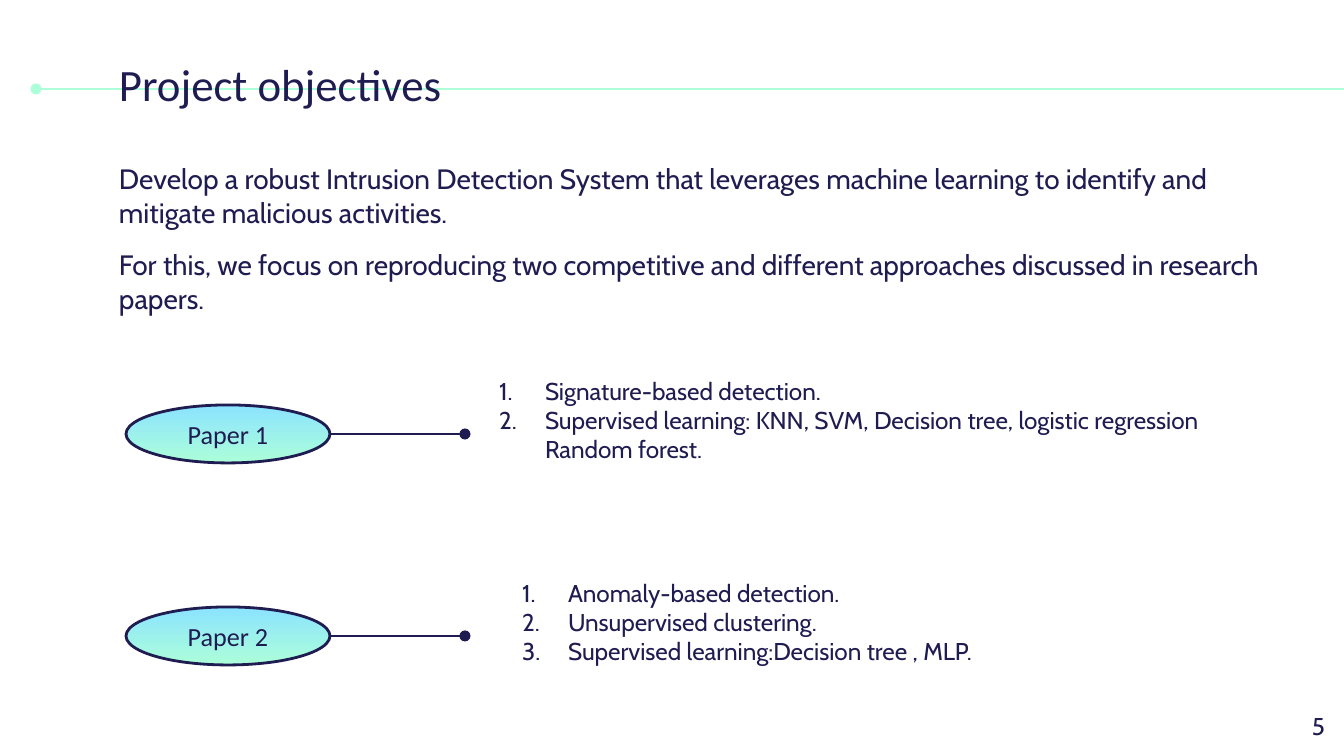
from lxml.etree import SubElement
from pptx import Presentation
from pptx.dml.color import RGBColor
from pptx.enum.shapes import MSO_CONNECTOR, MSO_SHAPE
from pptx.enum.text import MSO_ANCHOR, PP_ALIGN
from pptx.oxml.ns import qn
from pptx.util import Pt

PX = 914400 / 134.4
NAVY = RGBColor(0x1F, 0x1C, 0x51)
MINT = RGBColor(0xAC, 0xFF, 0xD9)
SKY = RGBColor(0x8B, 0xE3, 0xFF)


def px(*lengths):
    return [round(n * PX) for n in lengths]


def write(s, lines, font, size, align=PP_ALIGN.LEFT, anchor=MSO_ANCHOR.TOP, gap=0, numbered=False):
    tf = s.text_frame
    tf.word_wrap = True
    tf.vertical_anchor = anchor
    tf.margin_left, tf.margin_top, tf.margin_right, tf.margin_bottom = px(13, 13, 13, 13)
    tf.text = "\n".join(lines)
    for i, p in enumerate(tf.paragraphs):
        p.alignment = align
        if i and gap:
            p.space_before = Pt(gap)
        if numbered:
            pPr = p._p.get_or_add_pPr()
            margin, indent = px(67, -46)
            pPr.set("marL", str(margin))
            pPr.set("indent", str(indent))
            SubElement(pPr, qn("a:buAutoNum"), type="arabicPeriod")
        for r in p.runs:
            r.font.name = font
            r.font.size = Pt(size)
            r.font.color.rgb = NAVY


prs = Presentation()
prs.slide_width, prs.slide_height = px(1344, 756)
slide = prs.slides.add_slide(prs.slide_layouts[6])
shapes = slide.shapes

for x1, x2, y, color, width, end in [
    (36, 1344, 89, MINT, 1.5, "headEnd"),
    (330, 465, 434, NAVY, 0.75, "tailEnd"),
    (330, 465, 636, NAVY, 0.75, "tailEnd"),
]:
    s = shapes.add_connector(MSO_CONNECTOR.STRAIGHT, *px(x1, y, x2, y))
    s.line.color.rgb = color
    s.line.width = Pt(width)
    SubElement(s.line._get_or_add_ln(), qn(f"a:{end}"), type="oval")
    SubElement(s._element.spPr, qn("a:effectLst"))

title = shapes.add_textbox(*px(106, 44, 894, 79))
write(title, ["Project objectives"], "Calibri", 24)

intro = shapes.add_textbox(*px(106, 149, 1175, 180))
write(intro, [
    "Develop a robust Intrusion Detection System that leverages machine learning to identify and mitigate malicious activities.",
    "For this, we focus on reproducing two competitive and different approaches discussed in research papers.",
], "Cabin", 15, gap=10)

papers = [
    ("Paper 1", 405, 465, 364, [
        "Signature-based detection.",
        "Supervised learning: KNN, SVM, Decision tree, logistic regression Random forest.",
    ]),
    ("Paper 2", 607, 488, 566, [
        "Anomaly-based detection.",
        "Unsupervised clustering.",
        "Supervised learning:Decision tree , MLP.",
    ]),
]
for name, top, list_left, list_top, points in papers:
    s = shapes.add_shape(MSO_SHAPE.OVAL, *px(126, top, 204, 58))
    s.shadow.inherit = False
    s.fill.gradient()
    s.fill.gradient_angle = 270
    for stop, color, position in zip(s.fill.gradient_stops, (SKY, MINT), (0, 1)):
        stop.color.rgb = color
        stop.position = position
    s.line.color.rgb = NAVY
    s.line.width = Pt(1.5)
    write(s, [name], "Calibri", 14, PP_ALIGN.CENTER, MSO_ANCHOR.MIDDLE)

    s = shapes.add_textbox(*px(list_left, list_top, 793, 140))
    write(s, points, "Cabin", 13, anchor=MSO_ANCHOR.MIDDLE, numbered=True)
    s.text_frame.margin_bottom = px(42)[0]

number = shapes.add_textbox(*px(1258, 698, 80, 58))
write(number, ["5"], "Cabin", 13, PP_ALIGN.RIGHT)

prs.save("out.pptx")
